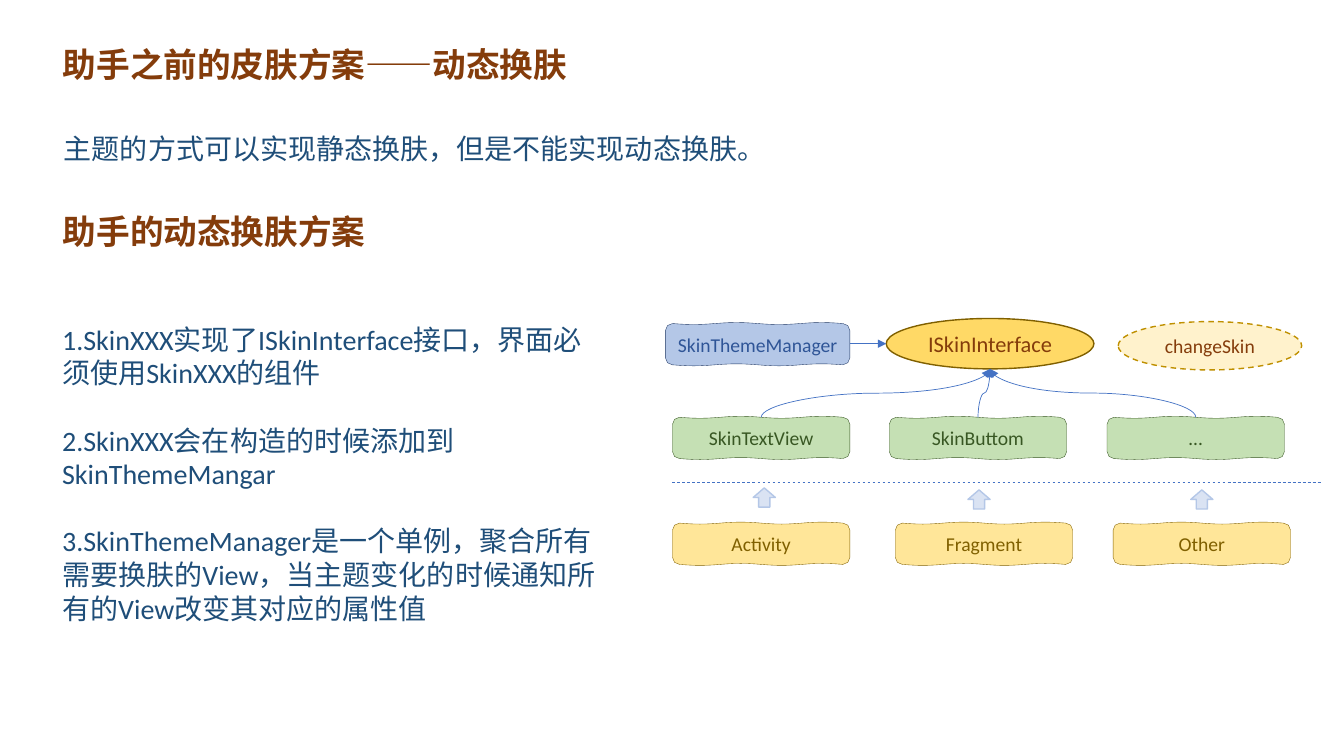
import math

from lxml import etree
from pptx import Presentation
from pptx import util as u
from pptx.dml.color import RGBColor
from pptx.enum import dml, shapes, text
from pptx.oxml.ns import qn

FONT = "Calibri"
BLUE = "4472C4"
BROWN = "843C0B"
HEADING = {"size": u.Pt(24), "bold": True, "name": FONT}
BODY = {"size": u.Pt(20), "name": FONT}
LABEL = {"size": u.Pt(14), "name": FONT}
BIG_LABEL = {"size": u.Pt(16), "name": FONT}

# left, top, width, height, paragraphs, format, colour, anchor
MIDDLE, TOP = text.MSO_ANCHOR.MIDDLE, text.MSO_ANCHOR.TOP
PASSAGES = [
    (0.5, 0.37, 6.17, 0.53, ["助手之前的皮肤方案——动态换肤"], HEADING, BROWN, MIDDLE),
    (0.5, 1.1, 12.13, 0.74, ["主题的方式可以实现静态换肤，但是不能实现动态换肤。"],
     BODY, "1F4E79", MIDDLE),
    (0.5, 2.03, 6.17, 0.53, ["助手的动态换肤方案"], HEADING, BROWN, MIDDLE),
    (0.35, 2.98, 5.92, 3.43, [
        "1.SkinXXX实现了ISkinInterface接口，界面必须使用SkinXXX的组件",
        "2.SkinXXX会在构造的时候添加到SkinThemeMangar",
        "3.SkinThemeManager是一个单例，聚合所有需要换肤的View，"
        "当主题变化的时候通知所有的View改变其对应的属性值",
    ], BODY, "1F4E79", TOP),
]

# label, left, top, width, fill, line, text colour
BOX_HEIGHT, BOX_WIDTH = 0.41, 1.76
MANAGER = ("SkinThemeManager", 6.6, 3.21, 1.83, "B4C7E7", "203864", "2F5597")
VIEW_TOP, SCREEN_TOP = 4.14, 5.19
VIEWS = [("SkinTextView", 6.67), ("SkinButtom", 8.82), ("…", 10.98)]
SCREENS = [("Activity", 6.67), ("Fragment", 8.88), ("Other", 11.04)]
BOXES = [MANAGER]
BOXES += [(label, left, VIEW_TOP, BOX_WIDTH, "C5E0B4", "385723", "385723")
          for label, left in VIEWS]
BOXES += [(label, left, SCREEN_TOP, BOX_WIDTH, "FFE699", "806000", "806000")
          for label, left in SCREENS]

# label, left, top, width, height, fill, line, dash, format
INTERFACE = ("ISkinInterface", 8.79, 3.16, 2.06, 0.5, "FFD966", "806000", None, BIG_LABEL)
ACTION = ("changeSkin", 11.09, 3.19, 1.82, 0.48, "FFF2CC", "BF9000",
          dml.MSO_LINE.DASH, LABEL)
ARROWS = [(7.47, 4.84), (9.6, 4.86), (11.81, 4.86)]
DIVIDER = (6.67, 4.79, 13.1, 4.79)

prs = Presentation()
prs.slide_width, prs.slide_height = u.Inches(13.33), u.Inches(7.5)
slide = prs.slides.add_slide(prs.slide_layouts[6])


def rgb(value):
    return RGBColor.from_string(value)


def paint(shape, fill=None, line=None, width=1, dash=None):
    shape.shadow.inherit = False
    if fill:
        shape.fill.solid()
        shape.fill.fore_color.rgb = rgb(fill)
    else:
        shape.fill.background()
    if line:
        shape.line.color.rgb = rgb(line)
        shape.line.width = u.Pt(width)
        shape.line.dash_style = dash
    else:
        shape.line.fill.background()


def write(shape, paragraphs, style, color, align, anchor=MIDDLE, gap=0):
    frame = shape.text_frame
    frame.word_wrap = True
    frame.vertical_anchor = anchor
    for i, words in enumerate(paragraphs):
        par = frame.paragraphs[0] if i == 0 else frame.add_paragraph()
        par.alignment = align
        if i:
            par.space_before = u.Pt(gap)
        run = par.add_run()
        run.text = words
        run.font.color.rgb = rgb(color)
        for key, value in style.items():
            setattr(run.font, key, value)


def place(kind, left, top, width, height):
    return slide.shapes.add_shape(kind, *map(u.Inches, (left, top, width, height)))


def wavy_box(left, top, width, height, radius=0.07, wave=0.01, steps=24):
    """Rounded box whose long edges ripple slightly."""
    right, bottom = left + width, top + height
    corner = radius * (1 - math.sqrt(0.5))
    ripple = [(left + radius + (width - 2 * radius) * i / steps,
               wave * math.sin(4 * math.pi * i / steps)) for i in range(steps + 1)]
    points = [(left, top + radius), (left + corner, top + corner)]
    points += [(x, top + dy) for x, dy in ripple]
    points += [(right - corner, top + corner), (right, top + radius),
               (right, bottom - radius), (right - corner, bottom - corner)]
    points += [(x, bottom + dy) for x, dy in reversed(ripple)]
    points += [(left + corner, bottom - corner), (left, bottom - radius)]
    points = [(u.Inches(x), u.Inches(y)) for x, y in points]
    builder = slide.shapes.build_freeform(*points[0])
    builder.add_line_segments(points[1:], close=True)
    return builder.convert_to_shape()


def connect(kind, ends, arrow=False, dash=None, rotation=0):
    line = slide.shapes.add_connector(kind, *map(u.Inches, ends))
    line.line.color.rgb = rgb(BLUE)
    line.line.width = u.Pt(0.5)
    line.line.dash_style = dash
    props = line._element.spPr
    if arrow:
        etree.SubElement(props.find(qn("a:ln")), qn("a:tailEnd"), type="triangle")
    if rotation:
        props.find(qn("a:xfrm")).set("rot", str(rotation * 60000))
    etree.SubElement(props, qn("a:effectLst"))


def curve_up(x1, y1, x2, y2):
    """Curve that leaves and arrives vertically: a sideways curve turned by 270°."""
    mid_x, mid_y = (x1 + x2) / 2, (y1 + y2) / 2
    rise, run = (y1 - y2) / 2, (x2 - x1) / 2
    connect(shapes.MSO_CONNECTOR.CURVE,
            (mid_x - rise, mid_y - run, mid_x + rise, mid_y + run),
            arrow=True, rotation=270)


for *place_at, paragraphs, style, color, anchor in PASSAGES:
    passage = place(shapes.MSO_SHAPE.ROUNDED_RECTANGLE, *place_at)
    paint(passage)
    write(passage, paragraphs, style, color, text.PP_ALIGN.LEFT, anchor, gap=24)

for label, left, top, width, fill, line, color in BOXES:
    box = wavy_box(left, top, width, BOX_HEIGHT)
    paint(box, fill, line, 0.25)
    box.text_frame.margin_left = box.text_frame.margin_right = u.Inches(0.05)
    write(box, [label], LABEL, color, text.PP_ALIGN.CENTER)

for label, left, top, width, height, fill, line, dash, style in (INTERFACE, ACTION):
    oval = place(shapes.MSO_SHAPE.OVAL, left, top, width, height)
    paint(oval, fill, line, 1, dash)
    write(oval, [label], style, BROWN, text.PP_ALIGN.CENTER)

for left, top in ARROWS:
    paint(place(shapes.MSO_SHAPE.UP_ARROW, left, top, 0.22, 0.19), "DAE3F3", "B4C7E7")

_, oval_left, oval_top, oval_width, oval_height, *_ = INTERFACE
connect(shapes.MSO_CONNECTOR.CURVE,
        (MANAGER[1] + MANAGER[3], 3.41, oval_left, 3.41), arrow=True)
connect(shapes.MSO_CONNECTOR.STRAIGHT, DIVIDER, dash=dml.MSO_LINE.DASH)
for _, left in VIEWS:
    curve_up(left + BOX_WIDTH / 2, VIEW_TOP,
             oval_left + oval_width / 2, oval_top + oval_height)

prs.save("out.pptx")
